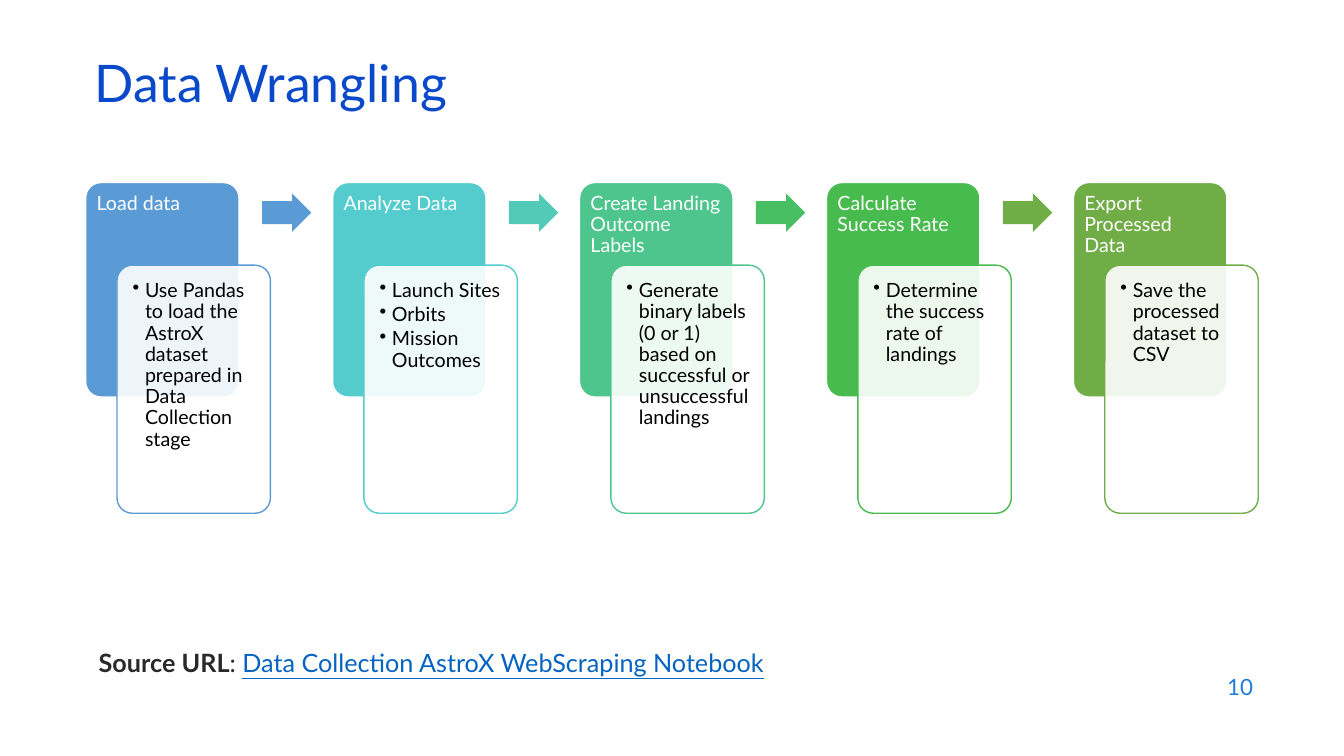
from lxml.etree import SubElement
from pptx import Presentation
from pptx.dml.color import RGBColor
from pptx.enum.shapes import MSO_SHAPE as Shape
from pptx.enum.text import MSO_ANCHOR as Anchor, PP_ALIGN as Align
from pptx.oxml.ns import qn
from pptx.util import Pt

FONT = "Lato"
STEPS = [
    ("Load data", "5B9BD5", "5B9BD5",
     ["Use Pandas to load the AstroX dataset prepared in Data Collection stage"]),
    ("Analyze Data", "54CCCD", "52CAB8",
     ["Launch Sites", "Orbits", "Mission Outcomes"]),
    ("Create Landing Outcome Labels", "4DC58D", "49BF64",
     ["Generate binary labels (0 or 1) based on successful or unsuccessful landings"]),
    ("Calculate Success Rate", "48BB4F", "70AD47",
     ["Determine the success rate of landings"]),
    ("Export Processed Data", "70AD47", None,
     ["Save the processed dataset to CSV"]),
]
STEP_LEFT, STEP_TOP, STEP_PITCH = 61.2, 130.4, 176.4


def color(code):
    return RGBColor.from_string(code)


def add_text(paragraph, text, size=14, fill="000000", bold=False, underline=False):
    run = paragraph.add_run()
    run.text = text
    run.font.name = FONT
    run.font.size = Pt(size)
    run.font.bold = bold
    run.font.underline = underline
    run.font.color.rgb = color(fill)


def add_bullet(paragraph, indent=8.9):
    properties = paragraph._p.get_or_add_pPr()
    properties.set("marL", str(Pt(indent)))
    properties.set("indent", str(-Pt(indent)))
    SubElement(properties, qn("a:buChar"), char="•")


class ProcessSlide:
    def __init__(self, deck):
        self.slide = deck.slides.add_slide(deck.slide_layouts[6])

    def textbox(self, left, top, width, height, anchor=Anchor.TOP):
        box = self.slide.shapes.add_textbox(Pt(left), Pt(top), Pt(width), Pt(height))
        frame = box.text_frame
        frame.word_wrap = True
        frame.vertical_anchor = anchor
        return frame.paragraphs[0]

    def shape(self, kind, left, top, width, height, fill, line=None, adjustments=()):
        shape = self.slide.shapes.add_shape(
            kind, Pt(left), Pt(top), Pt(width), Pt(height))
        shape.shadow.inherit = False
        shape.fill.solid()
        shape.fill.fore_color.rgb = color(fill)
        if line:
            shape.line.color.rgb = color(line)
            shape.line.width = Pt(1)
        else:
            shape.line.fill.background()
        for index, value in enumerate(adjustments):
            shape.adjustments[index] = value
        return shape

    def card(self, left, top, height, fill, line, lines, margins, text_fill,
             bulleted=False):
        card = self.shape(Shape.ROUNDED_RECTANGLE, left, top, 109.6, height,
                          fill, line, [0.1])
        frame = card.text_frame
        frame.word_wrap = True
        frame.vertical_anchor = Anchor.TOP
        frame.margin_left, frame.margin_top, frame.margin_right = map(Pt, margins)
        for index, text in enumerate(lines):
            paragraph = frame.add_paragraph() if index else frame.paragraphs[0]
            paragraph.alignment = Align.LEFT
            paragraph.line_spacing = 0.9
            paragraph.space_after = Pt(2.1)
            if bulleted:
                add_bullet(paragraph)
            add_text(paragraph, text, fill=text_fill)
        return card

    def step(self, left, top, heading, fill, arrow_fill, details):
        self.card(left, top, 153.2, fill, "FFFFFF", [heading],
                  (4.6, 4.6, 4.6), "FFFFFF")
        panel = self.card(left + 22.4, top + 59, 177.2, "FFFFFF", fill, details,
                          (7.9, 7.9, 6), "000000", bulleted=True)
        panel_color = panel.fill._xPr.find(qn("a:solidFill"))[0]
        SubElement(panel_color, qn("a:alpha"), val="90000")
        if arrow_fill:
            self.shape(Shape.RIGHT_ARROW, left + 126, top + 7.8, 35.2, 27.4,
                       arrow_fill, adjustments=[0.6, 0.5])


def main():
    deck = Presentation()
    deck.slide_width, deck.slide_height = Pt(960), Pt(540)
    page = ProcessSlide(deck)

    page_number = page.textbox(686.2, 474.5, 216, 31.7, Anchor.MIDDLE)
    page_number.alignment = Align.RIGHT
    add_text(page_number, "10", size=16, fill="1C7DDB")

    title = page.textbox(60.5, 42.5, 828, 43.2, Anchor.MIDDLE)
    title.line_spacing = 0.7
    add_text(title, "Data Wrangling", size=37, fill="0B49CB")

    for index, (heading, fill, arrow_fill, details) in enumerate(STEPS):
        page.step(STEP_LEFT + index * STEP_PITCH, STEP_TOP,
                  heading, fill, arrow_fill, details)

    reference = page.textbox(63.4, 458.6, 810, 31.7)
    add_text(reference, "Source URL", size=18, fill="292929", bold=True)
    add_text(reference, ": ", size=18, fill="292929")
    add_text(reference, "Data Collection AstroX WebScraping Notebook",
             size=18, fill="0563C1", underline=True)

    deck.save("out.pptx")


if __name__ == "__main__":
    main()
